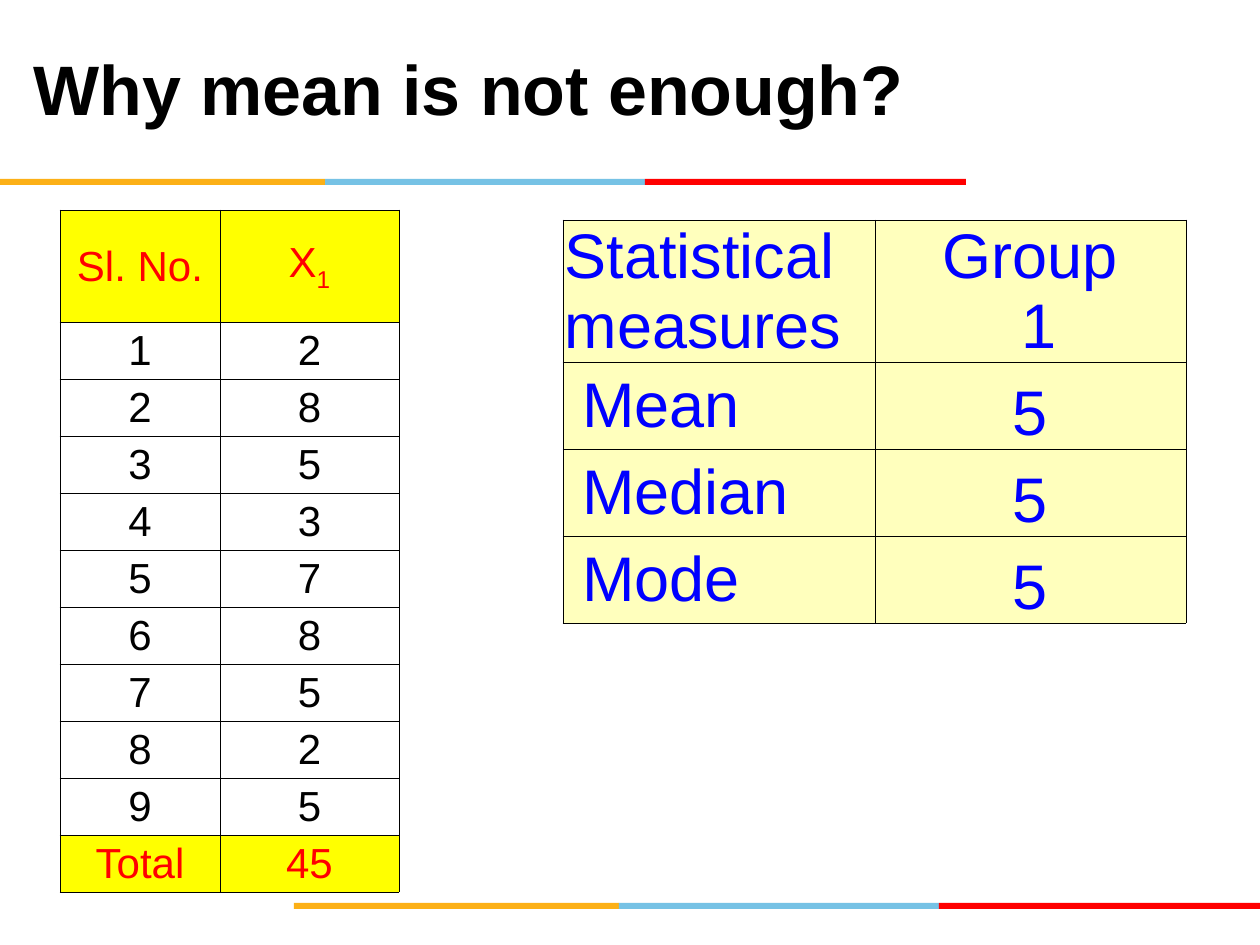
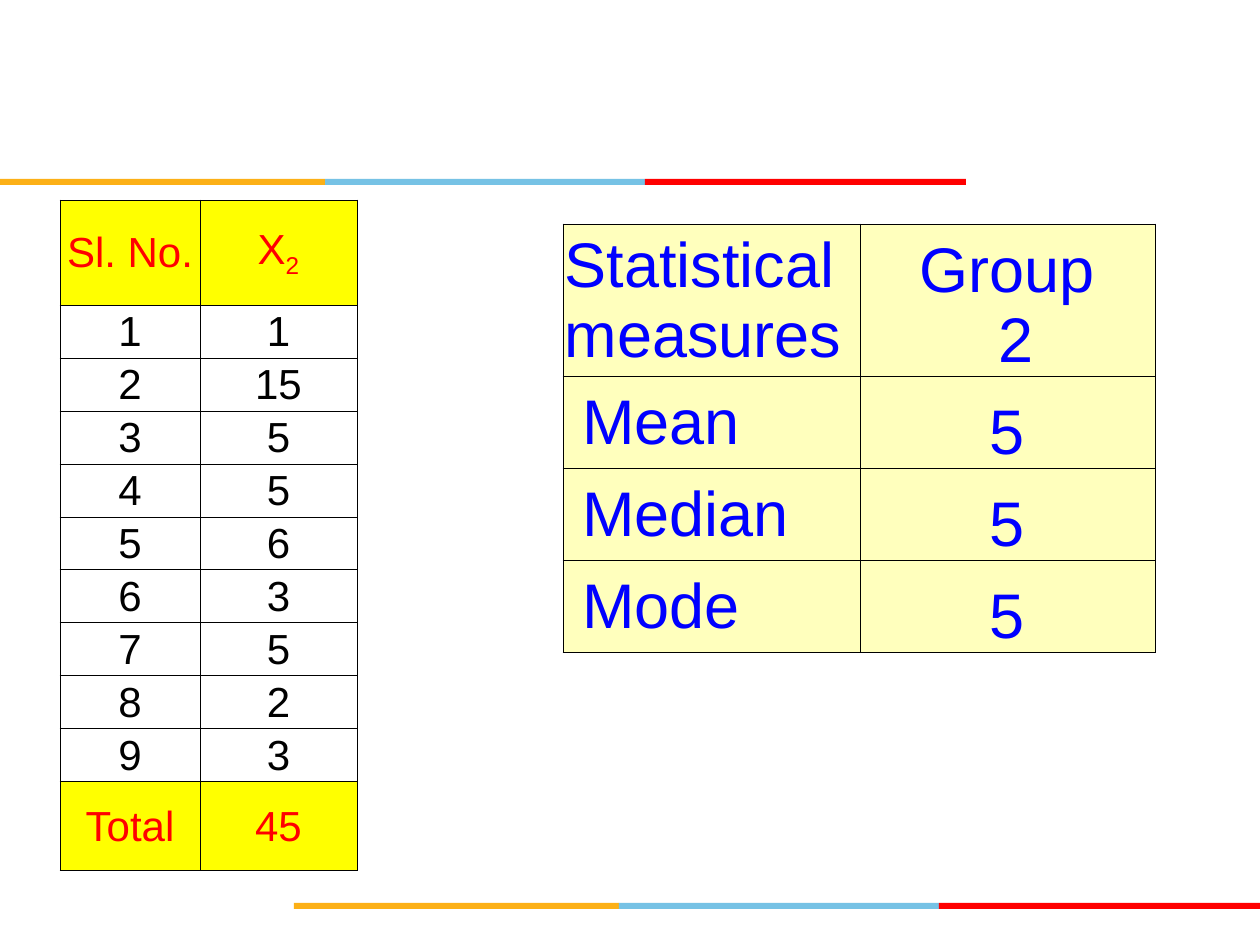
from lxml.etree import SubElement
from pptx import Presentation
from pptx.dml.color import RGBColor
from pptx.enum.shapes import MSO_SHAPE as Shape
from pptx.enum.text import MSO_ANCHOR as Anchor, PP_ALIGN as Align
from pptx.oxml.ns import qn
from pptx.util import Emu, Pt

EMU_PER_INCH = 914400
PX_PER_INCH = 126
SLIDE_WIDTH, SLIDE_HEIGHT = 1260, 945

FONT = "Arial"
BLACK = RGBColor(0x00, 0x00, 0x00)
RED = RGBColor(0xFF, 0x00, 0x00)
BLUE = RGBColor(0x00, 0x00, 0xFF)
YELLOW = RGBColor(0xFF, 0xFF, 0x00)
CREAM = RGBColor(0xFF, 0xFF, 0xBD)
ORANGE = RGBColor(0xFC, 0xB0, 0x17)
SKY = RGBColor(0x76, 0xC2, 0xE5)

BAND_PARTS = [(ORANGE, 325), (SKY, 320), (RED, 321)]
BAND_WIDTH = sum(width for _, width in BAND_PARTS)
BAND_HEIGHT = 6


def px(length):
    return Emu(round(length * EMU_PER_INCH / PX_PER_INCH))


def add_band(slide, left, top):
    for color, width in BAND_PARTS:
        part = slide.shapes.add_shape(
            Shape.RECTANGLE, px(left), px(top), px(width), px(BAND_HEIGHT))
        part.shadow.inherit = False
        part.fill.solid()
        part.fill.fore_color.rgb = color
        part.line.fill.background()
        left += width


def format_text(text_frame, size, color, bold=False, align=Align.LEFT):
    for paragraph in text_frame.paragraphs:
        paragraph.alignment = align
        for run in paragraph.runs:
            run.font.name = FONT
            run.font.size = Pt(size)
            run.font.color.rgb = color
            run.font.bold = bold


def add_title(slide, text):
    box = slide.shapes.add_textbox(px(21), px(39), px(903), px(97))
    box.text_frame.word_wrap = True
    box.text_frame.text = text
    format_text(box.text_frame, 40, BLACK, bold=True)


def add_borders(cell):
    """Draw thin black lines on all sides; call before the cell is filled."""
    properties = cell._tc.get_or_add_tcPr()
    for side in ("lnL", "lnR", "lnT", "lnB"):
        line = SubElement(properties, qn(f"a:{side}"), w=str(Pt(0.5)))
        fill = SubElement(line, qn("a:solidFill"))
        SubElement(fill, qn("a:srgbClr"), val=str(BLACK))


def add_grid(slide, left, top, columns, heights):
    """Add an empty bordered table with tight cell margins and no style bands."""
    table = slide.shapes.add_table(
        len(heights), len(columns), px(left), px(top),
        px(sum(columns)), px(sum(heights))).table
    table.first_row = table.horz_banding = False
    for column, width in zip(table.columns, columns):
        column.width = px(width)
    for row, height in zip(table.rows, heights):
        row.height = px(height)
    for cell in table.iter_cells():
        cell.margin_left = cell.margin_right = px(2)
        cell.margin_top, cell.margin_bottom = px(1), 0
        cell.vertical_anchor = Anchor.MIDDLE
        add_borders(cell)
    return table


def fill_cell(cell, color):
    cell.fill.solid()
    cell.fill.fore_color.rgb = color


def add_data_table(slide, group, values, left, top, columns, heights):
    table = add_grid(slide, left, top, columns, heights)
    rows = [("Sl. No.", "X"), *enumerate(values, start=1), ("Total", sum(values))]
    for row_index, row in enumerate(rows):
        is_accent = row_index in (0, len(rows) - 1)
        for column_index, value in enumerate(row):
            cell = table.cell(row_index, column_index)
            cell.text_frame.text = str(value)
            if is_accent:
                fill_cell(cell, YELLOW)
            else:
                cell.fill.background()
            if value == "X":
                subscript = cell.text_frame.paragraphs[0].add_run()
                subscript.text = str(group)
                subscript._r.get_or_add_rPr().set("baseline", "-25000")
            format_text(cell.text_frame, 24, RED if is_accent else BLACK,
                        align=Align.CENTER)


def add_measures_table(slide, group, left, top, columns, heights):
    table = add_grid(slide, left, top, columns, heights)
    rows = [("Statistical measures", f"Group\n {group}"),
            (" Mean", "5"), (" Median", "5"), (" Mode", "5")]
    for row_index, row in enumerate(rows):
        for column_index, text in enumerate(row):
            cell = table.cell(row_index, column_index)
            cell.text_frame.text = text
            fill_cell(cell, CREAM)
            is_value = column_index == 1
            if is_value:
                cell.vertical_anchor = Anchor.BOTTOM
            format_text(cell.text_frame, 36, BLUE,
                        align=Align.CENTER if is_value else Align.LEFT)


def add_base_slide(presentation):
    slide = presentation.slides.add_slide(presentation.slide_layouts[6])
    add_band(slide, SLIDE_WIDTH - BAND_WIDTH, 903)
    add_band(slide, 0, 179)
    return slide


def main():
    presentation = Presentation()
    presentation.slide_width = px(SLIDE_WIDTH)
    presentation.slide_height = px(SLIDE_HEIGHT)

    slide = add_base_slide(presentation)
    add_data_table(slide, 1, [2, 8, 5, 3, 7, 8, 5, 2, 5],
                   60, 210, [160, 179], [112] + [57] * 10)
    add_measures_table(slide, 1, 563, 220, [312, 311], [139] + [87] * 3)
    add_title(slide, "Why mean is not enough?")

    slide = add_base_slide(presentation)
    add_data_table(slide, 2, [1, 15, 5, 5, 6, 3, 5, 2, 3],
                   60, 200, [140, 157], [105] + [53] * 9 + [89])
    add_measures_table(slide, 2, 563, 224, [297, 295], [145] + [92] * 3)

    presentation.save("out.pptx")


if __name__ == "__main__":
    main()
